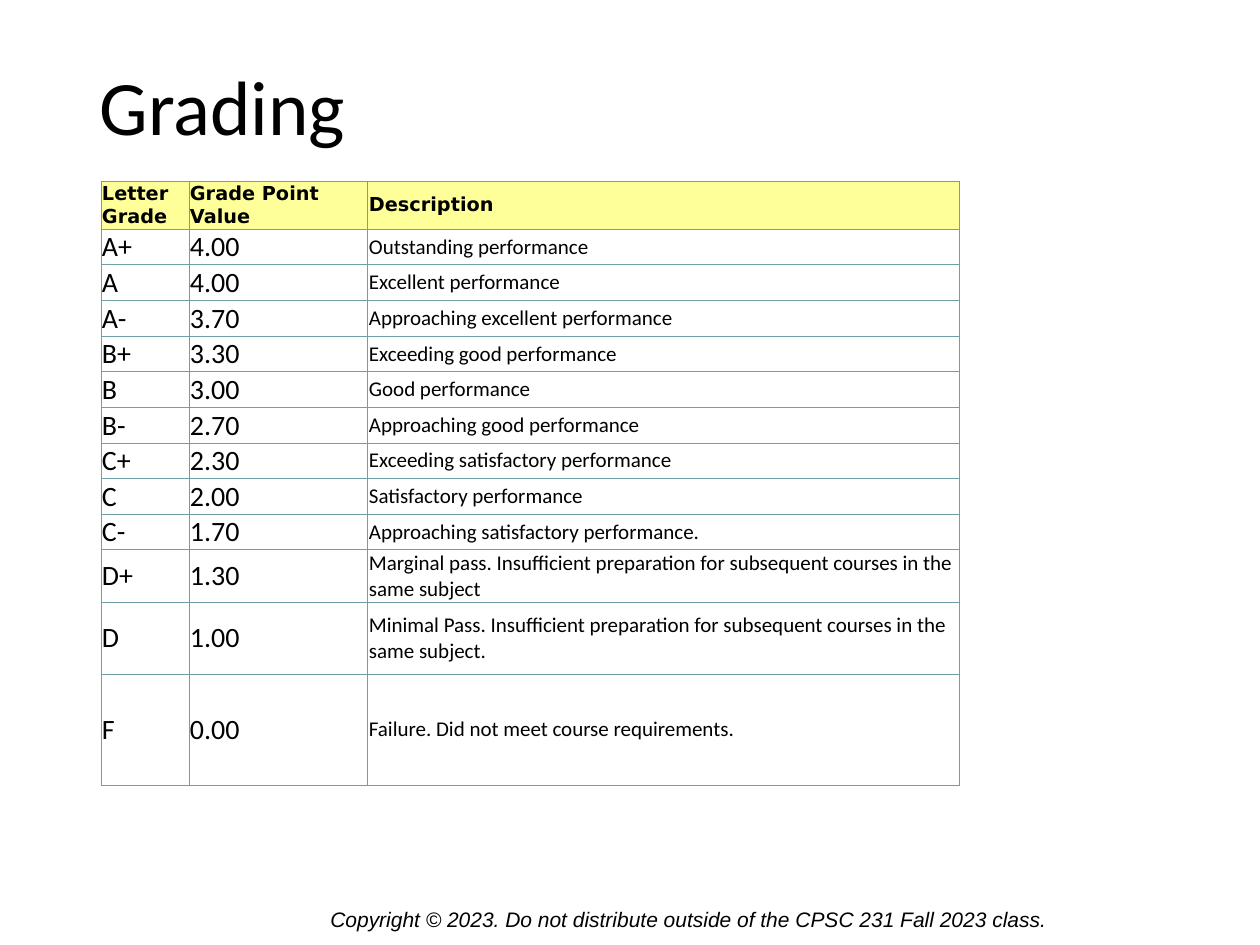
from lxml import etree
from pptx import Presentation
from pptx import util as u
from pptx.dml.color import RGBColor
from pptx.enum import text
from pptx.oxml import ns

PX = u.Inches(1) // 126
COLORS = {"ink": "000000", "header": "FFFF99", "body": "FFFFFF", "border": "729EA5"}
HEADERS = ["Letter Grade", "Grade Point Value", "Description"]
GRADES = [
    ("A+", "4.00", "Outstanding performance"),
    ("A", "4.00", "Excellent performance"),
    ("A-", "3.70", "Approaching excellent performance"),
    ("B+", "3.30", "Exceeding good performance"),
    ("B", "3.00", "Good performance"),
    ("B-", "2.70", "Approaching good performance"),
    ("C+", "2.30", "Exceeding satisfactory performance"),
    ("C", "2.00", "Satisfactory performance"),
    ("C-", "1.70", "Approaching satisfactory performance."),
    ("D+", "1.30", "Marginal pass. Insufficient preparation for subsequent courses in the same subject"),
    ("D", "1.00", "Minimal Pass. Insufficient preparation for subsequent courses in the same subject."),
    ("F", "0.00", "Failure. Did not meet course requirements."),
]
COL_WIDTHS = [88, 179, 592]
ROW_HEIGHTS = [21] + [30] * 9 + [38, 72, 111]


def px(*lengths):
    return [u.Emu(n * PX) for n in lengths]


def rgb(name):
    return RGBColor.from_string(COLORS[name])


def add_run(p, words, size, font, bold=False, italic=False):
    r = p.add_run()
    r.text = words
    r.font.size = u.Pt(size)
    r.font.name = font
    r.font.bold = bold
    r.font.italic = italic
    r.font.color.rgb = rgb("ink")


def add_footer(s, words, box):
    tf = s.shapes.add_textbox(*px(*box)).text_frame
    tf.word_wrap = True
    add_run(tf.paragraphs[0], words, 12, "Arial", italic=True)


def set_title(s, words, box):
    sp = s.shapes.title
    sp.left, sp.top, sp.width, sp.height = px(*box)
    sp.text_frame.vertical_anchor = text.MSO_ANCHOR.MIDDLE
    p = sp.text_frame.paragraphs[0]
    p.alignment = text.PP_ALIGN.LEFT
    p.line_spacing = 0.9
    add_run(p, words, 44, "Calibri")


def set_borders(cell):
    tc_pr = cell._tc.get_or_add_tcPr()
    for side in ("lnL", "lnR", "lnT", "lnB"):
        ln = etree.SubElement(tc_pr, ns.qn(f"a:{side}"), w=str(u.Pt(0.6)))
        fill = etree.SubElement(ln, ns.qn("a:solidFill"))
        etree.SubElement(fill, ns.qn("a:srgbClr"), val=COLORS["border"])


def fill_cell(cell, words, color, **font):
    set_borders(cell)
    cell.fill.solid()
    cell.fill.fore_color.rgb = rgb(color)
    cell.vertical_anchor = text.MSO_ANCHOR.MIDDLE
    cell.margin_left = cell.margin_right = cell.margin_top = cell.margin_bottom = u.Emu(PX)
    add_run(cell.text_frame.paragraphs[0], words, **font)


def add_grade_table(s, box):
    frame = s.shapes.add_table(len(ROW_HEIGHTS), len(COL_WIDTHS), *px(*box))
    table = frame.table
    table.first_row = table.horz_banding = False
    for column, width in zip(table.columns, px(*COL_WIDTHS)):
        column.width = width
    for row, height in zip(table.rows, px(*ROW_HEIGHTS)):
        row.height = height
    for c, words in enumerate(HEADERS):
        fill_cell(table.cell(0, c), words, "header", size=11, font="DejaVu Sans", bold=True)
    for r, grade in enumerate(GRADES, 1):
        for c, (words, size) in enumerate(zip(grade, (16, 16, 12))):
            fill_cell(table.cell(r, c), words, "body", size=size, font="Calibri")
    frame.height = px(box[3])[0]


def main():
    prs = Presentation()
    prs.slide_width, prs.slide_height = px(1260, 945)
    s = prs.slides.add_slide(prs.slide_layouts[5])
    set_title(s, "Grading", (87, 50, 1086, 121))
    add_footer(s, "Copyright © 2023. Do not distribute outside of the CPSC 231 Fall 2023 class.",
               (318, 900, 784, 38))
    add_grade_table(s, (101, 181, 859, 606))
    prs.save("out.pptx")


if __name__ == "__main__":
    main()
